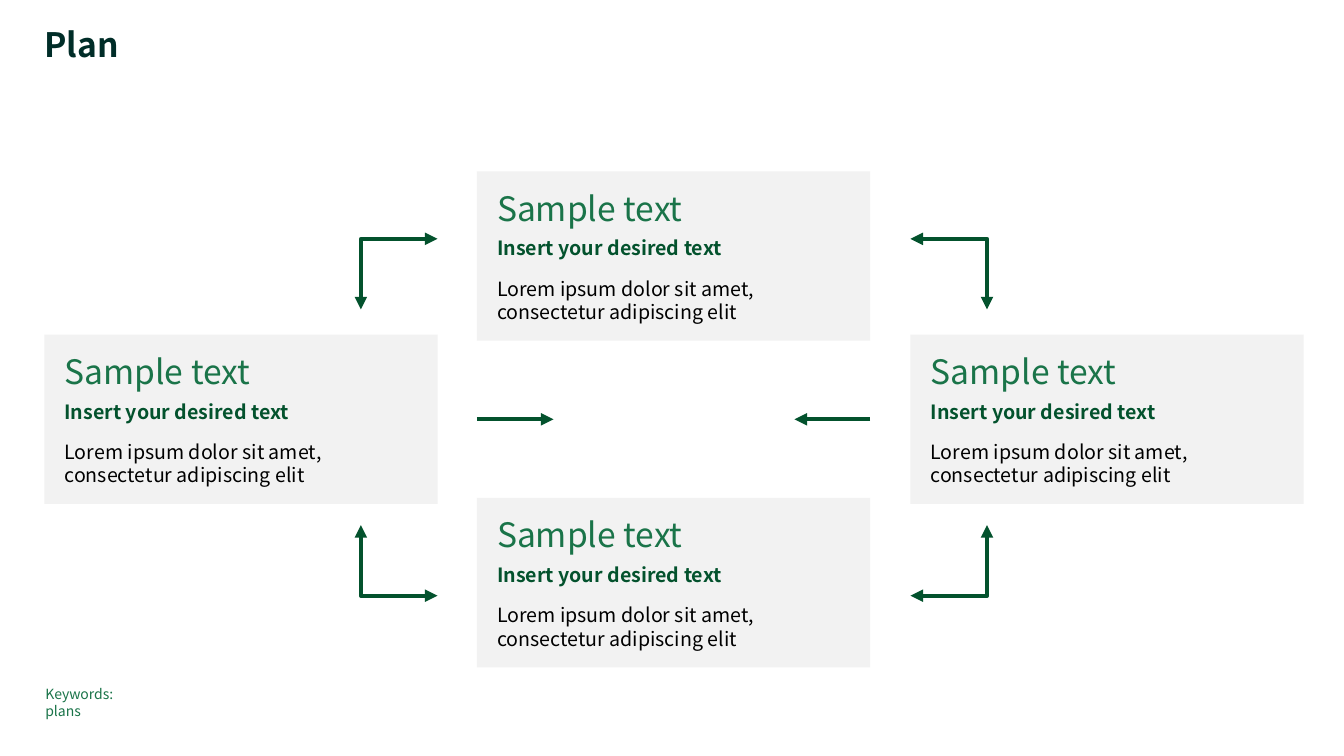
from lxml import etree
from pptx import Presentation
from pptx.dml.color import RGBColor
from pptx.enum.shapes import MSO_CONNECTOR, MSO_SHAPE
from pptx.enum.text import MSO_ANCHOR, MSO_AUTO_SIZE, PP_ALIGN
from pptx.oxml.ns import qn
from pptx.util import Inches, Pt

STRAIGHT = MSO_CONNECTOR.STRAIGHT
RECTANGLE = MSO_SHAPE.RECTANGLE
TOP = MSO_ANCHOR.TOP
LEFT = PP_ALIGN.LEFT
GROW = MSO_AUTO_SIZE.SHAPE_TO_FIT_TEXT

FONT = "Noto Sans CJK JP"
INK = RGBColor(0x00, 0x2D, 0x28)
DARK_GREEN = RGBColor(0x03, 0x52, 0x2D)
GREEN = RGBColor(0x1A, 0x74, 0x49)
BLACK = RGBColor(0x00, 0x00, 0x00)
PANEL = RGBColor(0xF2, 0xF2, 0xF2)

CARD_WIDTH, CARD_HEIGHT = 3.9, 1.68
CARD_CORNERS = [(0.44, 3.32), (4.73, 1.7), (9.03, 3.32), (4.73, 4.94)]
CARD_LINES = [
    ("Sample text", 24, GREEN, False, 6, 0),
    ("Insert your desired text", 14, DARK_GREEN, True, 12, 0),
    ("Lorem ipsum dolor sit amet, consectetur adipiscing elit", 14, BLACK, False, 6, 1),
]
ELBOW_COLUMNS = [(3.58, 4.34), (9.79, 9.03)]
ELBOW_ROWS = [(2.37, 3.07), (5.91, 5.21)]
INWARD_ARROWS = [(4.73, 5.49), (8.63, 7.88)]
ARROW_Y = 4.16


def set_frame(frame, side=0, edge=0):
    settings = {
        "word_wrap": True, "auto_size": GROW, "vertical_anchor": TOP,
        "margin_left": Inches(side), "margin_right": Inches(side),
        "margin_top": Inches(edge), "margin_bottom": Inches(edge),
    }
    for name, value in settings.items():
        setattr(frame, name, value)


def write_line(paragraph, text, size, color, bold=False, after=0, level=0):
    paragraph.text = text
    paragraph.alignment = LEFT
    paragraph.space_after = Pt(after)
    if level:
        paragraph.level = level
        paragraph._p.get_or_add_pPr().set("marL", "0")
    font = paragraph.runs[0].font
    for name, value in {"name": FONT, "size": Pt(size), "bold": bold}.items():
        setattr(font, name, value)
    font.color.rgb = color


def add_title(slide, text):
    title = slide.shapes.title
    box = {"left": 0.44, "top": 0.28, "width": 11.03, "height": 0.37}
    for name, value in box.items():
        setattr(title, name, Inches(value))
    set_frame(title.text_frame)
    heading = title.text_frame.paragraphs[0]
    write_line(heading, text, 24, INK, True)
    heading.line_spacing = 0.9


def add_card(slide, left, top):
    card = slide.shapes.add_shape(
        RECTANGLE, Inches(left), Inches(top), Inches(CARD_WIDTH), Inches(CARD_HEIGHT))
    card.shadow.inherit = False
    card.fill.solid()
    card.fill.fore_color.rgb = PANEL
    card.line.fill.background()
    frame = card.text_frame
    set_frame(frame, 0.2, 0.16)
    for index, line in enumerate(CARD_LINES):
        paragraph = frame.add_paragraph() if index else frame.paragraphs[0]
        write_line(paragraph, *line)


def style_arrow(arrow, ends):
    arrow.line.color.rgb = DARK_GREEN
    arrow.line.width = Pt(3)
    for end in ends:
        etree.SubElement(arrow.line._get_or_add_ln(), qn(f"a:{end}"), type="triangle")


def add_elbow(slide, corner_x, end_x, corner_y, end_y):
    points = [(Inches(x), Inches(y))
              for x, y in [(end_x, corner_y), (corner_x, corner_y), (corner_x, end_y)]]
    builder = slide.shapes.build_freeform(*points[0])
    builder.add_line_segments(points[1:], close=False)
    elbow = builder.convert_to_shape()
    elbow.shadow.inherit = False
    elbow.fill.background()
    style_arrow(elbow, ["headEnd", "tailEnd"])


def add_inward_arrow(slide, start_x, end_x):
    arrow = slide.shapes.add_connector(
        STRAIGHT, Inches(start_x), Inches(ARROW_Y), Inches(end_x), Inches(ARROW_Y))
    style_arrow(arrow, ["tailEnd"])
    etree.SubElement(arrow._element.spPr, qn("a:effectLst"))


def add_keywords(slide, text):
    keywords = slide.shapes.add_textbox(
        Inches(0.45), Inches(6.8), Inches(1.02), Inches(0.17))
    set_frame(keywords.text_frame)
    write_line(keywords.text_frame.paragraphs[0], text, 10, GREEN, after=1.1)


def main():
    deck = Presentation()
    deck.slide_width, deck.slide_height = Inches(13.33), Inches(7.5)
    slide = deck.slides.add_slide(deck.slide_layouts[5])
    add_title(slide, "Plan")
    for left, top in CARD_CORNERS:
        add_card(slide, left, top)
    for corner_y, end_y in ELBOW_ROWS:
        for corner_x, end_x in ELBOW_COLUMNS:
            add_elbow(slide, corner_x, end_x, corner_y, end_y)
    for start_x, end_x in INWARD_ARROWS:
        add_inward_arrow(slide, start_x, end_x)
    add_keywords(slide, "Keywords: plans")
    deck.save("out.pptx")


if __name__ == "__main__":
    main()
